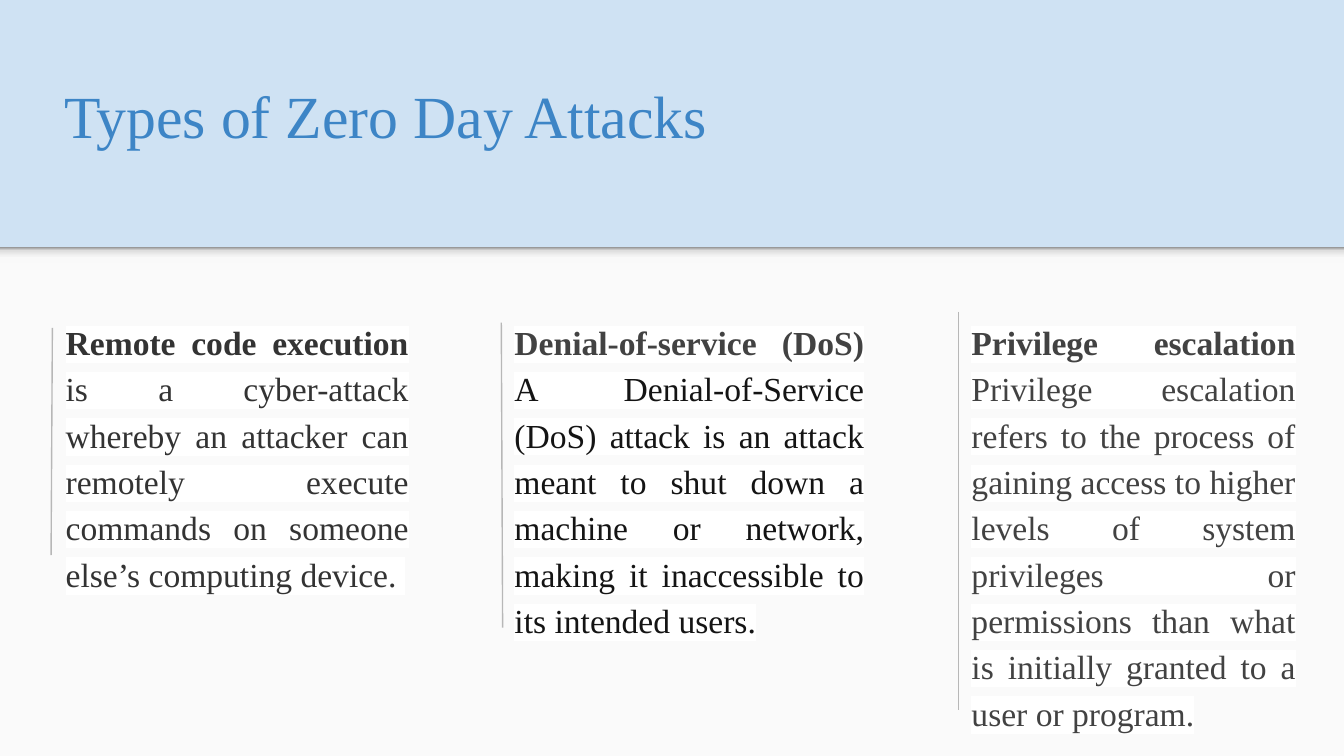
from lxml.etree import SubElement
from pptx import Presentation
from pptx.dml.color import RGBColor
from pptx.enum.shapes import MSO_CONNECTOR, MSO_SHAPE
from pptx.enum.text import MSO_ANCHOR, PP_ALIGN
from pptx.oxml.ns import qn
from pptx.util import Inches, Pt

FONT = "Times New Roman"
PALE_BLUE = RGBColor(0xCF, 0xE2, 0xF3)
BLUE = RGBColor(0x3D, 0x85, 0xC6)
OFF_WHITE = RGBColor(0xFA, 0xFA, 0xFA)
RULE_GRAY = RGBColor(0xB7, 0xB7, 0xB7)
CHARCOAL = RGBColor(0x33, 0x33, 0x33)
DARK_GRAY = RGBColor(0x42, 0x42, 0x42)
NEAR_BLACK = RGBColor(0x14, 0x14, 0x14)
WHITE = RGBColor(0xFF, 0xFF, 0xFF)

WIDTH = 10
HEIGHT = WIDTH * 9 / 16
BAND_BOTTOM = 1.84
COLUMN_TOP = 2.25
SHADOW_STOPS = [(0, "F9F9F9"), (36, "F9F9F9"), (80, "DEDEDE"), (100, "999999")]

TITLE = "Types of Zero Day Attacks"
COLUMNS = [
    {"left": 0.39, "width": 2.75, "height": 1.12,
     "rule": (0.39, 2.44, 0.38, 4.13),
     "heading": ("Remote code execution", CHARCOAL),
     "body": (" is a cyber-attack whereby an attacker can remotely execute "
              "commands on someone else’s computing device. ", CHARCOAL)},
    {"left": 3.73, "width": 2.8, "height": 0.63,
     "rule": (3.73, 2.4, 3.74, 4.67),
     "heading": ("Denial-of-service (DoS)", DARK_GRAY),
     "body": (" A Denial-of-Service (DoS) attack is an attack meant to shut down "
              "a machine or network, making it inaccessible to its intended "
              "users.", NEAR_BLACK)},
    {"left": 7.13, "width": 2.61, "height": 0.63,
     "rule": (7.13, 2.32, 7.13, 5.28),
     "heading": ("Privilege escalation", DARK_GRAY),
     "body": (" Privilege escalation refers to the process of gaining access to "
              "higher levels of system privileges or permissions than what is "
              "initially granted to a user or program.", DARK_GRAY)},
]


def add_panel(slide, top, height):
    """Add a full-width rectangle without outline or shadow."""
    panel = slide.shapes.add_shape(
        MSO_SHAPE.RECTANGLE, 0, Inches(top), Inches(WIDTH), Inches(height))
    panel.shadow.inherit = False
    panel.line.fill.background()
    return panel


def fill_with_gradient(shape, stops):
    """Blend the stops from the bottom of the shape to its top."""
    shape.fill.gradient()
    shape.fill.gradient_angle = 90
    stop_list = shape.element.spPr.find(".//" + qn("a:gsLst"))
    stop_list.clear()
    for percent, color in stops:
        stop = SubElement(stop_list, qn("a:gs"), pos=str(percent * 1000))
        SubElement(stop, qn("a:srgbClr"), val=color)


def add_text_frame(slide, left, top, width, height):
    box = slide.shapes.add_textbox(*map(Inches, (left, top, width, height)))
    frame = box.text_frame
    frame.word_wrap = True
    frame.margin_left = frame.margin_right = Inches(0.1)
    frame.margin_top = frame.margin_bottom = Inches(0.1)
    return frame


def add_run(paragraph, text, size, color, bold=False):
    run = paragraph.add_run()
    run.text = text
    run.font.size = Pt(size)
    run.font.bold = bold
    run.font.color.rgb = color
    run.font.name = FONT
    return run


def highlight(run, color):
    properties = run.font._element
    mark = SubElement(properties, qn("a:highlight"))
    SubElement(mark, qn("a:srgbClr"), val=str(color))
    properties.find(qn("a:solidFill")).addnext(mark)


def add_rule(slide, ends):
    rule = slide.shapes.add_connector(MSO_CONNECTOR.STRAIGHT, *map(Inches, ends))
    rule.line.color.rgb = RULE_GRAY
    rule.line.width = Pt(0.75)
    SubElement(rule.element.spPr, qn("a:effectLst"))


def add_column(slide, column):
    add_rule(slide, column["rule"])
    frame = add_text_frame(slide, column["left"], COLUMN_TOP,
                           column["width"], column["height"])
    paragraph = frame.paragraphs[0]
    paragraph.alignment = PP_ALIGN.JUSTIFY
    paragraph.line_spacing = 1.15
    paragraph.space_after = Pt(16)
    for part in ("heading", "body"):
        text, color = column[part]
        run = add_run(paragraph, text, 18, color, bold=part == "heading")
        highlight(run, WHITE)


def main():
    presentation = Presentation()
    presentation.slide_width = Inches(WIDTH)
    presentation.slide_height = Inches(HEIGHT)
    slide = presentation.slides.add_slide(presentation.slide_layouts[6])
    slide.background.fill.solid()
    slide.background.fill.fore_color.rgb = PALE_BLUE

    content_panel = add_panel(slide, BAND_BOTTOM, HEIGHT - BAND_BOTTOM)
    content_panel.fill.solid()
    content_panel.fill.fore_color.rgb = OFF_WHITE
    fill_with_gradient(add_panel(slide, BAND_BOTTOM, 0.12), SHADOW_STOPS)

    title_frame = add_text_frame(slide, 0.38, 0.38, 8.99, 0.84)
    title_frame.vertical_anchor = MSO_ANCHOR.BOTTOM
    add_run(title_frame.paragraphs[0], TITLE, 32, BLUE)

    for column in COLUMNS:
        add_column(slide, column)
    presentation.save("out.pptx")


if __name__ == "__main__":
    main()
